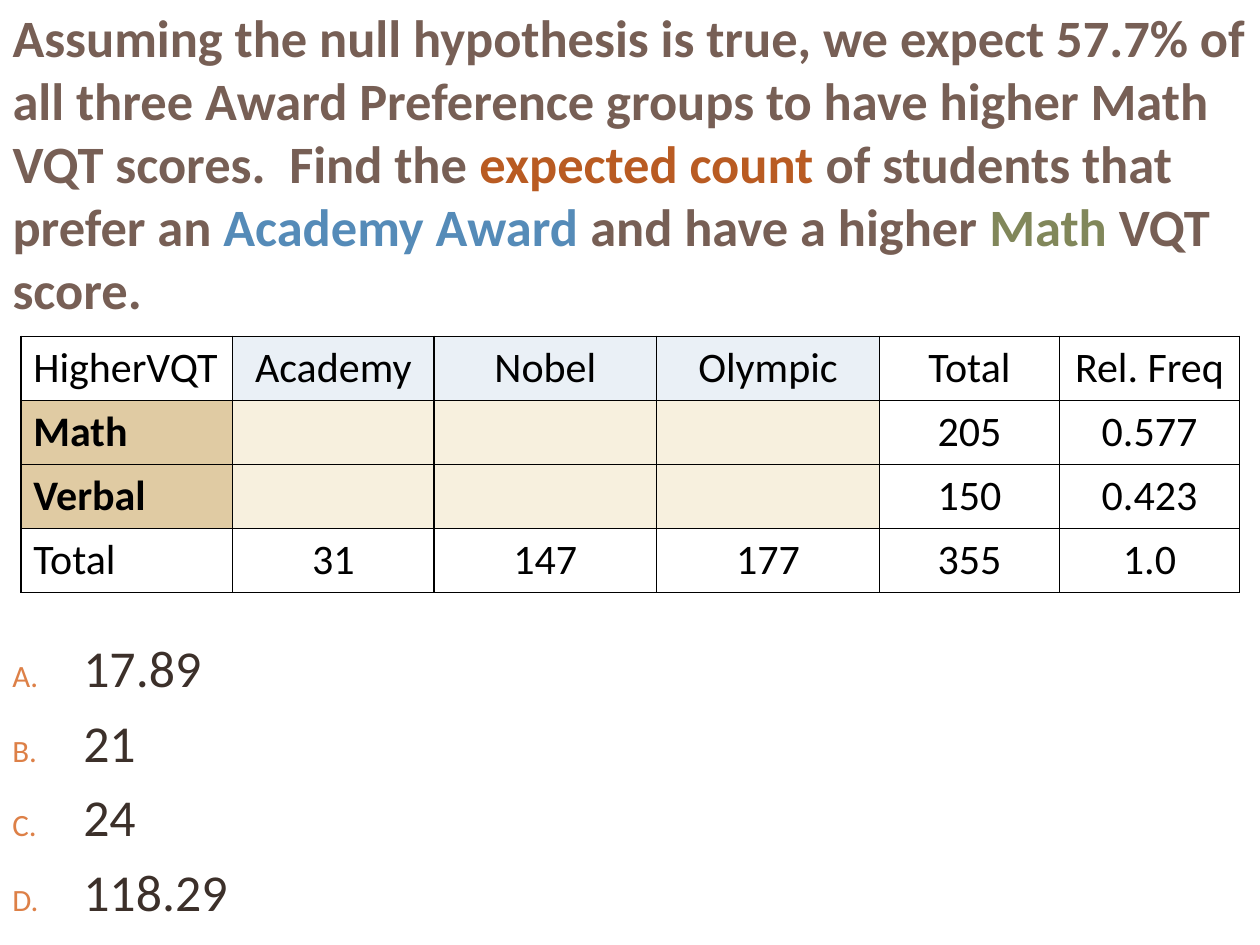
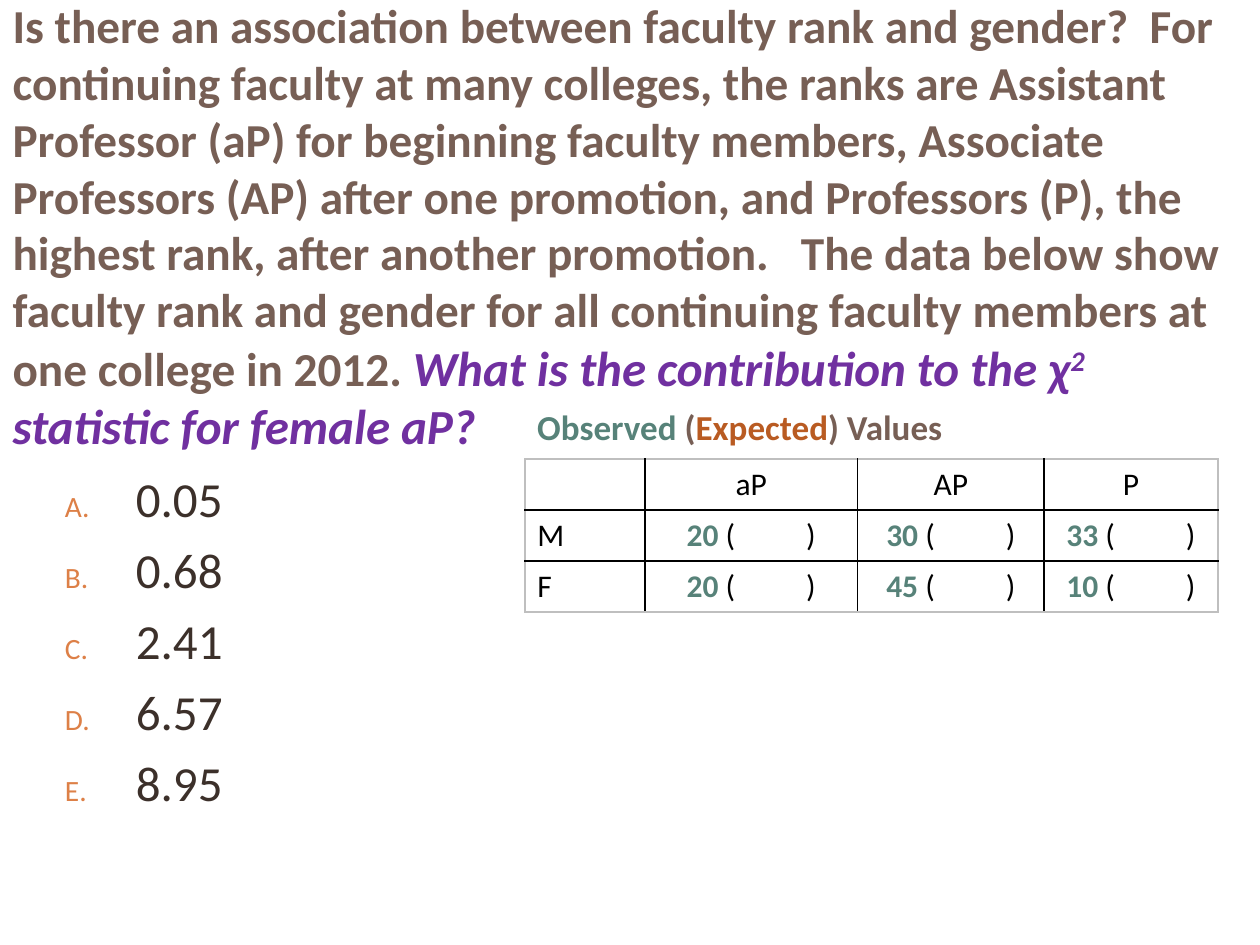
"""Build two chi-square quiz slides, each with a question, a table and choices."""
from lxml import etree
from pptx import Presentation, util as u
from pptx.dml.color import RGBColor
from pptx.enum import text as t
from pptx.oxml import ns

Cm, Pt = u.Cm, u.Pt
FONT = "Calibri"
HUES = {
    "brown": "775F55", "rust": "B95B22", "blue": "558BB8", "olive": "81875A",
    "violet": "7030A0", "teal": "578279", "dark": "3C302A", "mark": "DD8047",
    "black": "000000", "grey": "BFBFBF",
    "ice": "EAF0F6", "tan": "E0CBA3", "cream": "F7F0DE",
}
LEFT, MID = t.PP_ALIGN.LEFT, t.PP_ALIGN.CENTER
TOP, CENTRE = t.MSO_ANCHOR.TOP, t.MSO_ANCHOR.MIDDLE
GAP = "(          )"


def count(num):
    return [(f"{num} ", "teal", "b"), (GAP, "black", "")]


AWARD = {
    "title": {
        "box": (0, 0.1, 25.4, 7.46), "size": 30, "anchor": TOP, "inset": 0,
        "runs": [
            ("Assuming the null hypothesis is true, we expect 57.7% of all three "
             "Award Preference groups to have higher Math VQT scores.  Find the ",
             "brown", "b"),
            ("expected count ", "rust", "b"),
            ("of students that prefer an ", "brown", "b"),
            ("Academy Award ", "blue", "b"),
            ("and have a higher ", "brown", "b"),
            ("Math ", "olive", "b"),
            ("VQT score.", "brown", "b"),
        ],
    },
    "picks": {"box": (0, 12.7, 6.55, 5.72), "size": 29.6,
              "items": ["17.89", "21", "24", "118.29"]},
    "grid": {
        "at": (0.42, 6.78), "cols": [4.27, 4.06, 4.49, 4.49, 3.63, 3.63],
        "high": 1.29, "size": 24, "edge": "black",
        "rows": [
            ["HigherVQT", "Academy", "Nobel", "Olympic", "Total", "Rel. Freq"],
            [[("Math", "black", "b")], "", "", "", "205", "0.577"],
            [[("Verbal", "black", "b")], "", "", "", "150", "0.423"],
            ["Total", "31", "147", "177", "355", "1.0"],
        ],
        "fills": ["-iii--", "tccc--", "tccc--", "------"],
    },
}

RANK = {
    "title": {
        "box": (0, 0, 25.4, 9.1), "size": 27, "anchor": CENTRE, "inset": 0.13,
        "runs": [
            ("Is there an association between faculty rank and gender?  For "
             "continuing faculty at many colleges, the ranks are Assistant "
             "Professor (aP) for beginning faculty members, Associate Professors "
             "(AP) after one promotion, and Professors (P), the highest rank, "
             "after another promotion.   The data below show faculty rank and "
             "gender for all continuing faculty members at one college in 2012. ",
             "brown", "b"),
            ("What is the contribution to the χ", "violet", "bi", 28),
            ("2", "violet", "bis", 28),
            (" statistic for female aP?", "violet", "bi", 28),
        ],
    },
    "picks": {"box": (1.06, 9.32, 8.46, 6.98), "size": 28,
              "items": ["0.05", "0.68", "2.41", "6.57", "8.95"]},
    "label": {
        "box": (10.58, 8.05, 9.74, 1.11), "size": 20,
        "runs": [("Observed ", "teal", "b"), ("(", "brown", "b"),
                 ("Expected", "rust", "b"), (") Values", "brown", "b")],
    },
    "grid": {
        "at": (10.58, 9.25), "cols": [2.42, 4.29, 3.76, 3.5],
        "high": 1.03, "size": 18, "edge": "grey",
        "rows": [
            ["", "aP", "AP", "P"],
            ["M", count(20), count(30), count(33)],
            ["F", count(20), count(45), count(10)],
        ],
        "fills": ["----"] * 3,
    },
}
FILLS = {"i": "ice", "t": "tan", "c": "cream"}


def tint(name):
    return RGBColor.from_string(HUES[name])


def write(para, runs, size):
    for words, hue, look, *own in runs:
        run = para.add_run()
        run.text = words
        font = run.font
        font.name, font.size = FONT, Pt(own[0] if own else size)
        font.bold, font.italic = "b" in look, "i" in look
        font.color.rgb = tint(hue)
        if "s" in look:
            run._r.get_or_add_rPr().set("baseline", "30000")


def place(shape, box):
    shape.left, shape.top, shape.width, shape.height = map(Cm, box)


def add(root, tag, **attrs):
    return etree.SubElement(root, ns.qn(tag), attrs)


def head(slide, data):
    shape = slide.shapes.title
    place(shape, data["box"])
    frame = shape.text_frame
    frame.auto_size, frame.word_wrap = t.MSO_AUTO_SIZE.NONE, True
    frame.vertical_anchor = data["anchor"]
    frame.margin_top = frame.margin_bottom = Cm(data["inset"])
    para = frame.paragraphs[0]
    para.alignment = LEFT
    write(para, data["runs"], data["size"])


def panel(slide, box):
    frame = slide.shapes.add_textbox(*map(Cm, box)).text_frame
    frame.word_wrap = True
    return frame


def choices(slide, data):
    frame = panel(slide, data["box"])
    for i, item in enumerate(data["items"]):
        para = frame.add_paragraph() if i else frame.paragraphs[0]
        props = para._p.get_or_add_pPr()
        props.set("marL", str(Cm(1.43)))
        props.set("indent", str(-Cm(1.43)))
        add(add(props, "a:buClr"), "a:srgbClr", val=HUES["mark"])
        add(props, "a:buSzPct", val="60000")
        add(props, "a:buFont", typeface=FONT)
        add(props, "a:buAutoNum", type="alphaUcPeriod")
        if i:
            para.space_before = Pt(7)
        write(para, [(item, "dark", "")], data["size"])


def border(cell, sides):
    props = cell._tc.get_or_add_tcPr()
    for i, (side, hue) in enumerate(sides.items()):
        line = etree.Element(ns.qn(f"a:ln{side}"), w=str(Pt(1)))
        add(add(line, "a:solidFill"), "a:srgbClr", val=HUES[hue])
        props.insert(i, line)


def table(slide, data):
    rows, cols, edge = data["rows"], data["cols"], data["edge"]
    size = sum(cols), data["high"] * len(rows)
    grid = slide.shapes.add_table(
        len(rows), len(cols), *map(Cm, data["at"] + size)).table
    grid.first_row = grid.horz_banding = False
    for col, wide in zip(grid.columns, cols):
        col.width = Cm(wide)
    for r, row in enumerate(rows):
        grid.rows[r].height = Cm(data["high"])
        for c, value in enumerate(row):
            cell = grid.cell(r, c)
            code = data["fills"][r][c]
            if code in FILLS:
                cell.fill.solid()
                cell.fill.fore_color.rgb = tint(FILLS[code])
            else:
                cell.fill.background()
            outer = {"L": c == 0, "R": c == len(cols) - 1,
                     "T": r == 0, "B": r == len(rows) - 1}
            border(cell, {k: edge if v else "black" for k, v in outer.items()})
            para = cell.text_frame.paragraphs[0]
            para.alignment = MID if c else LEFT
            if value:
                runs = [(value, "black", "")] if isinstance(value, str) else value
                write(para, runs, data["size"])


def main():
    deck = Presentation()
    deck.slide_width, deck.slide_height = Cm(25.4), Cm(19.05)
    for data in (AWARD, RANK):
        slide = deck.slides.add_slide(deck.slide_layouts[5])
        head(slide, data["title"])
        choices(slide, data["picks"])
        if "label" in data:
            label = data["label"]
            para = panel(slide, label["box"]).paragraphs[0]
            write(para, label["runs"], label["size"])
        table(slide, data["grid"])
    deck.save("out.pptx")


if __name__ == "__main__":
    main()
